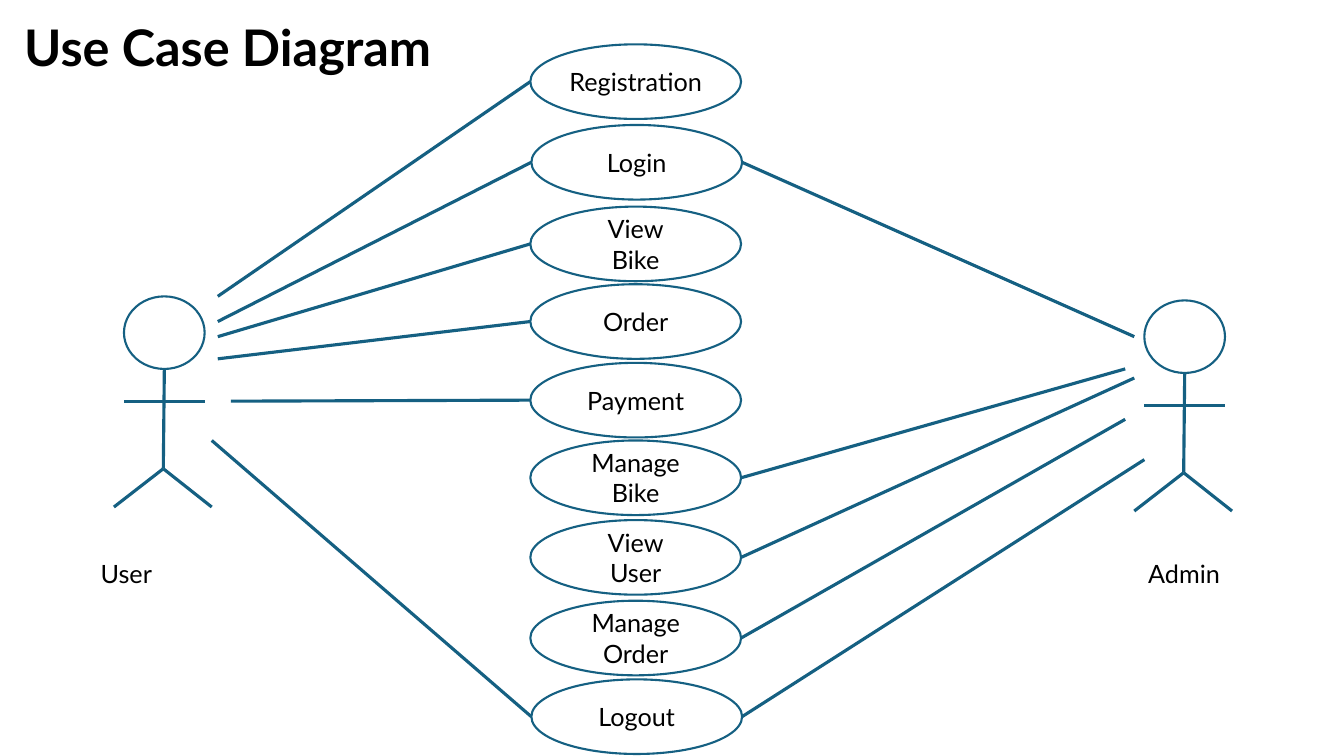
from lxml import etree
from pptx import Presentation, util as u
from pptx.dml.color import RGBColor
from pptx.enum import shapes, text
from pptx.oxml.ns import qn

COLORS = {"outline": "156082", "fill": "FFFFFF", "ink": "000000"}
FONT = "Lato"

deck = Presentation()
deck.slide_width, deck.slide_height = u.Inches(13.33), u.Inches(7.5)
slide = deck.slides.add_slide(deck.slide_layouts[5])


def write(frame, wording, size=18, bold=False, **layout):
    frame.text = wording
    settings = {"word_wrap": True, "auto_size": text.MSO_AUTO_SIZE.NONE, **layout}
    align = settings.pop("alignment", text.PP_ALIGN.LEFT)
    for name, value in settings.items():
        setattr(frame, name, value)
    for paragraph in frame.paragraphs:
        paragraph.alignment = align
        font = paragraph.runs[0].font
        for name, value in {"name": FONT, "size": u.Pt(size), "bold": bold}.items():
            setattr(font, name, value)
        font.color.rgb = RGBColor.from_string(COLORS["ink"])


def draw(kind, x1, y1, x2, y2, weight):
    """Draw an ellipse in a box, or a line between two points."""
    if kind == "ellipse":
        item = slide.shapes.add_shape(
            shapes.MSO_SHAPE.OVAL, *map(u.Inches, (x1, y1, x2 - x1, y2 - y1)))
        item.shadow.inherit = False
        item.fill.solid()
        item.fill.fore_color.rgb = RGBColor.from_string(COLORS["fill"])
    else:
        item = slide.shapes.add_connector(
            shapes.MSO_CONNECTOR.STRAIGHT, *map(u.Inches, (x1, y1, x2, y2)))
    item.line.color.rgb = RGBColor.from_string(COLORS["outline"])
    item.line.width = u.Pt(weight)
    if kind == "line":
        etree.SubElement(item._element.spPr, qn("a:effectLst"))
    return item


# Title
title = slide.shapes.title
title.left, title.top, title.width, title.height = map(u.Inches, (0.14, 0.11, 6.17, 0.71))
write(title.text_frame, "Use Case Diagram", 36, True,
      vertical_anchor=text.MSO_ANCHOR.TOP)

# Actors: stick figure and label
limbs = [
    (0.4, 0.72, 0.39, 1.71),   # body
    (0, 1.04, 0.8, 1.04),      # arms
    (0.39, 1.71, -0.1, 2.09),  # left leg
    (0.39, 1.71, 0.87, 2.09),  # right leg
]
actors = [("User", 1.23, 2.94, 0.9, 1.42), ("Admin", 11.35, 2.98, 11.29, 1.23)]
for actor, x, y, label_left, label_width in actors:
    draw("ellipse", x, y, x + 0.8, y + 0.72, 1.5)
    for x1, y1, x2, y2 in limbs:
        draw("line", x + x1, y + y1, x + x2, y + y2, 2.25)
    label = slide.shapes.add_textbox(*map(u.Inches, (label_left, 5.49, label_width, 0.4)))
    write(label.text_frame, actor)

# Use cases: wording, left, top, link end at the user, link end at the admin
WIDTH, HEIGHT = 2.09, 0.74
use_cases = [
    ("Registration", 5.26, 0.44, (2.16, 2.94), None),
    ("Login", 5.27, 1.24, (2.16, 3.19), (11.25, 3.34)),
    ("View\nBike", 5.26, 2.05, (2.16, 3.34), None),
    ("Order", 5.26, 2.82, (2.16, 3.56), None),
    ("Payment", 5.26, 3.6, (2.29, 3.98), None),
    ("Manage\nBike", 5.26, 4.37, None, (11.16, 3.66)),
    ("View\nUser", 5.26, 5.16, None, (11.25, 3.75)),
    ("Manage Order", 5.26, 5.96, None, (11.16, 4.16)),
    ("Logout", 5.27, 6.74, (2.1, 4.37), (11.35, 4.56)),
]
for wording, left, top, user_end, admin_end in use_cases:
    use_case = draw("ellipse", left, top, left + WIDTH, top + HEIGHT, 1.5)
    write(use_case.text_frame, wording, margin_left=0, margin_right=0,
          vertical_anchor=text.MSO_ANCHOR.MIDDLE, alignment=text.PP_ALIGN.CENTER)
    middle = top + HEIGHT / 2
    for side, actor_end in ((left, user_end), (left + WIDTH, admin_end)):
        if actor_end:
            draw("line", side, middle, *actor_end, 2.25)

deck.save("out.pptx")
